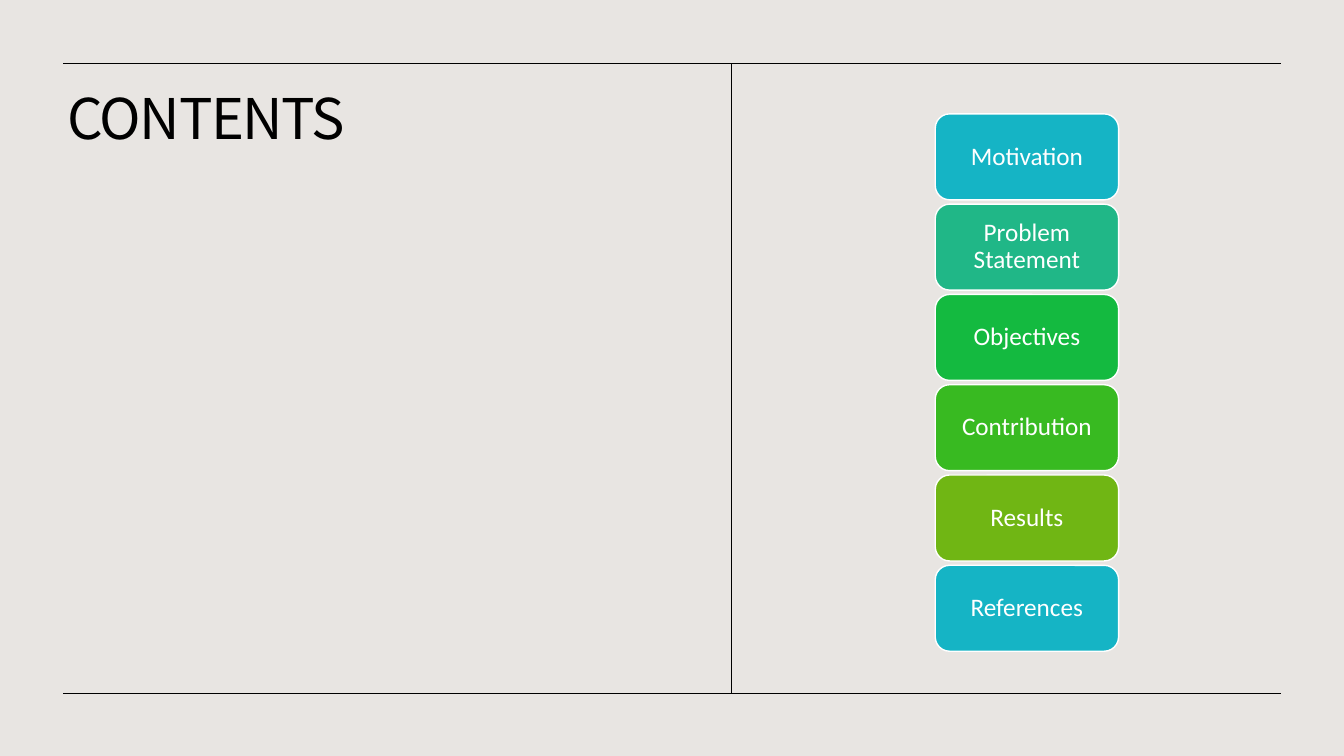
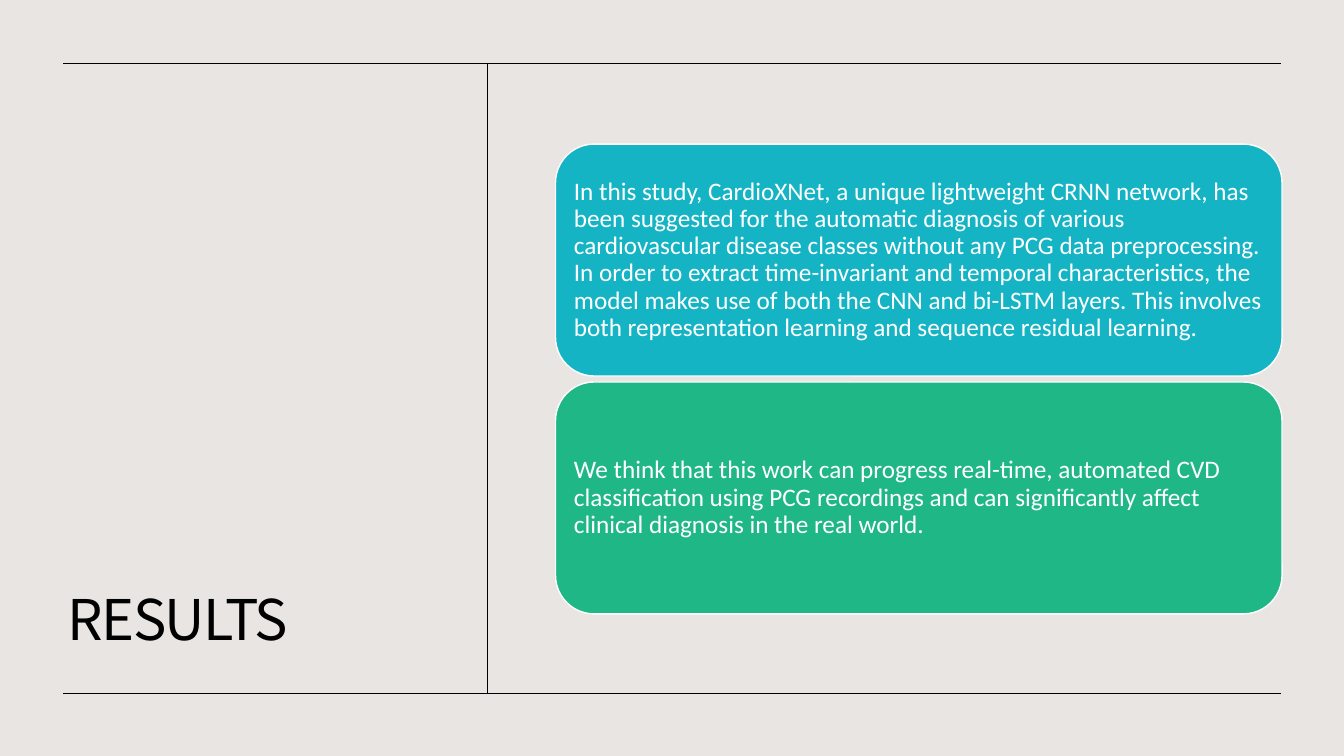
import pptx
import pptx.dml.color
import pptx.enum.shapes
import pptx.enum.text
import pptx.util
from lxml import etree
from pptx.oxml.ns import qn

Cm, Pt = pptx.util.Cm, pptx.util.Pt
RGBColor = pptx.dml.color.RGBColor
Align = pptx.enum.text.PP_ALIGN
Anchor = pptx.enum.text.MSO_ANCHOR

# Content: lengths in centimetres, boxes as left, top, width, height
SLIDES = [
    {
        "title": "CONTENTS",
        "title_box": (1.45, 2.18, 13.89, 14.25),
        "title_anchor": Anchor.TOP,
        "divider": 18.42,
        "stack_box": (23.57, 2.87, 4.62, 13.54),
        "gap": 0.11,
        "align": Align.CENTER,
        "cards": ["Motivation", "Problem Statement", "Objectives",
                  "Contribution", "Results", "References"],
    },
    {
        "title": "RESULTS",
        "title_box": (1.45, 2.51, 9.73, 14.07),
        "title_anchor": Anchor.BOTTOM,
        "divider": 12.27,
        "stack_box": (14, 3.63, 18.31, 11.84),
        "gap": 0.15,
        "align": Align.LEFT,
        "cards": [
            "In this study, CardioXNet, a unique lightweight CRNN network, has been "
            "suggested for the automatic diagnosis of various cardiovascular disease "
            "classes without any PCG data preprocessing. In order to extract "
            "time-invariant and temporal characteristics, the model makes use of both "
            "the CNN and bi-LSTM layers. This involves both representation learning "
            "and sequence residual learning.",
            "We think that this work can progress real-time, automated CVD "
            "classification using PCG recordings and can significantly affect "
            "clinical diagnosis in the real world.",
        ],
    },
]


# Shared look
class Theme:
    background = RGBColor.from_string("E8E5E2")
    ink = RGBColor.from_string("000000")
    white = RGBColor.from_string("FFFFFF")
    cards = [RGBColor.from_string(code) for code in
             ("15B4C5", "20B787", "14BA40", "38BA21", "70B614")]
    title_font, title_size, title_spacing = "Noto Sans CJK KR", Pt(40), Pt(-1)
    body_font, body_size = "Calibri", Pt(18)
    line_spacing = 0.9
    rule_width, card_border = Pt(0.5), Pt(1)
    card_inset = Cm(0.18)


SLIDE_WIDTH, SLIDE_HEIGHT = 33.87, 19.05
FRAME_LEFT, FRAME_TOP, FRAME_RIGHT, FRAME_BOTTOM = 1.6, 1.6, 32.28, 17.48


def add_text(shape, text, font, size, color, align, anchor):
    frame = shape.text_frame
    frame.word_wrap = True
    frame.vertical_anchor = anchor
    paragraph = frame.paragraphs[0]
    paragraph.alignment = align
    paragraph.line_spacing = Theme.line_spacing
    run = paragraph.add_run()
    run.text = text
    run.font.name, run.font.size = font, size
    run.font.color.rgb = color
    return run


def add_title(slide, text, box, anchor):
    shape = slide.shapes.add_textbox(*map(Cm, box))
    run = add_text(shape, text, Theme.title_font, Theme.title_size,
                   Theme.ink, Align.LEFT, anchor)
    properties = run.font._element
    properties.set("spc", str(round(Theme.title_spacing.pt * 100)))
    east_asian = etree.SubElement(properties, qn("a:ea"))
    east_asian.set("typeface", Theme.title_font)


def add_rule(slide, *ends):
    connector = slide.shapes.add_connector(
        pptx.enum.shapes.MSO_CONNECTOR.STRAIGHT, *map(Cm, ends))
    connector.line.color.rgb = Theme.ink
    connector.line.width = Theme.rule_width
    etree.SubElement(connector._element.spPr, qn("a:effectLst"))


def add_frame(slide, divider):
    for y in (FRAME_TOP, FRAME_BOTTOM):
        add_rule(slide, FRAME_LEFT, y, FRAME_RIGHT, y)
    add_rule(slide, divider, FRAME_TOP, divider, FRAME_BOTTOM)


def add_card(slide, text, box, color, align):
    shape = slide.shapes.add_shape(
        pptx.enum.shapes.MSO_SHAPE.ROUNDED_RECTANGLE, *map(Cm, box))
    shape.shadow.inherit = False
    shape.fill.solid()
    shape.fill.fore_color.rgb = color
    shape.line.color.rgb = Theme.white
    shape.line.width = Theme.card_border
    frame = shape.text_frame
    frame.margin_left = frame.margin_right = Theme.card_inset
    frame.margin_top = frame.margin_bottom = Theme.card_inset
    add_text(shape, text, Theme.body_font, Theme.body_size,
             Theme.white, align, Anchor.MIDDLE)


def add_stack(slide, cards, box, gap, align):
    # Equal cards fill the box, with the colours taken in turn
    left, top, width, height = box
    card_height = (height - gap * (len(cards) - 1)) / len(cards)
    for index, text in enumerate(cards):
        card_top = top + index * (card_height + gap)
        color = Theme.cards[index % len(Theme.cards)]
        add_card(slide, text, (left, card_top, width, card_height), color, align)


def main():
    presentation = pptx.Presentation()
    presentation.slide_width = Cm(SLIDE_WIDTH)
    presentation.slide_height = Cm(SLIDE_HEIGHT)
    blank = presentation.slide_layouts[6]
    background = presentation.slide_master.background.fill
    background.solid()
    background.fore_color.rgb = Theme.background

    for content in SLIDES:
        slide = presentation.slides.add_slide(blank)
        add_title(slide, content["title"], content["title_box"], content["title_anchor"])
        add_frame(slide, content["divider"])
        add_stack(slide, content["cards"], content["stack_box"],
                  content["gap"], content["align"])

    presentation.save("out.pptx")


if __name__ == "__main__":
    main()
